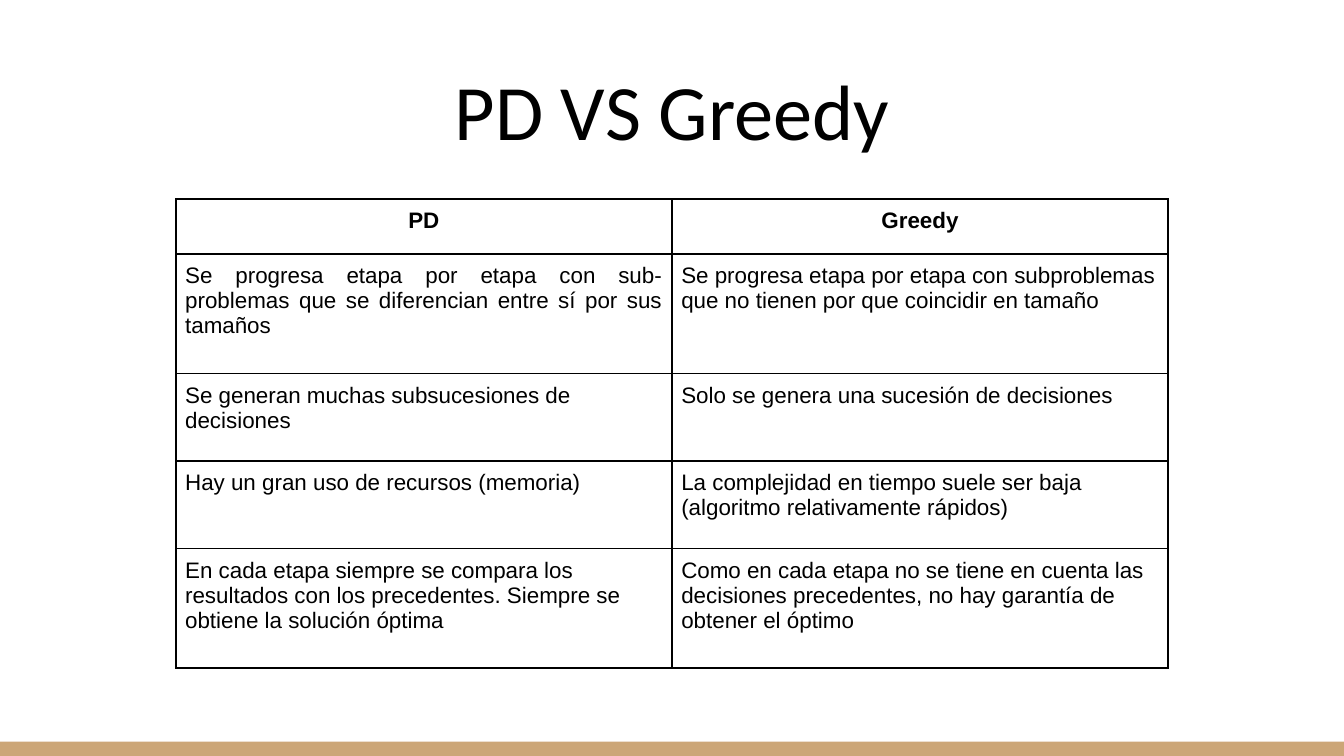
import pptx
import pptx.dml.color
import pptx.enum.shapes
import pptx.enum.text
import pptx.oxml
import pptx.oxml.ns
import pptx.util

Pt = pptx.util.Pt
ALIGN = pptx.enum.text.PP_ALIGN
ANCHOR = pptx.enum.text.MSO_ANCHOR
WIDTH, HEIGHT = 720, 405
BLACK, WHITE, TAN = "000000", "FFFFFF", "CCA677"

COMPARISON = [
    ("PD", "Greedy"),
    ("Se progresa etapa por etapa con sub-problemas que se diferencian entre sí por sus tamaños",
     "Se progresa etapa por etapa con subproblemas que no tienen por que coincidir en tamaño"),
    ("Se generan muchas subsucesiones de decisiones",
     "Solo se genera una sucesión de decisiones"),
    ("Hay un gran uso de recursos (memoria)",
     "La complejidad en tiempo suele ser baja (algoritmo relativamente rápidos)"),
    ("En cada etapa siempre se compara los resultados con los precedentes. "
     "Siempre se obtiene la solución óptima",
     "Como en cada etapa no se tiene en cuenta las decisiones precedentes, "
     "no hay garantía de obtener el óptimo"),
]
ROW_HEIGHTS = [29.5, 64.1, 46.8, 46.8, 64.1]
COLUMN_WIDTHS = [265.8, 265.8]


def color(hex_string):
    return pptx.dml.color.RGBColor.from_string(hex_string)


class SlideBuilder:
    title_font, title_size = "Calibri", 42
    table_font, table_size = "Arial", 12
    title_inset, cell_inset = 7.2, 5

    def __init__(self, slide):
        self.slide = slide

    def add_run(self, paragraph, text, font, size, bold=False):
        run = paragraph.add_run()
        run.text = text
        run.font.name = font
        run.font.size = Pt(size)
        run.font.bold = bold
        run.font.color.rgb = color(BLACK)

    def set_margins(self, target, inset):
        target.margin_left = target.margin_right = Pt(inset)
        target.margin_top = target.margin_bottom = Pt(inset)

    def add_bar(self, left, top, width, height, fill):
        bar = self.slide.shapes.add_shape(
            pptx.enum.shapes.MSO_SHAPE.RECTANGLE, Pt(left), Pt(top), Pt(width), Pt(height))
        bar.shadow.inherit = False
        bar.fill.solid()
        bar.fill.fore_color.rgb = color(fill)
        bar.line.fill.background()

    def set_title(self, text, left, top, width, height):
        title = self.slide.shapes.title
        title.left, title.top, title.width, title.height = map(Pt, (left, top, width, height))
        frame = title.text_frame
        frame.word_wrap = True
        frame.auto_size = pptx.enum.text.MSO_AUTO_SIZE.NONE
        frame.vertical_anchor = ANCHOR.BOTTOM
        self.set_margins(frame, self.title_inset)
        paragraph = frame.paragraphs[0]
        paragraph.alignment = ALIGN.CENTER
        self.add_run(paragraph, text, self.title_font, self.title_size)

    def add_borders(self, cell, width=1):
        properties = cell._tc.get_or_add_tcPr()
        for index, side in enumerate(("lnL", "lnR", "lnT", "lnB")):
            properties.insert(index, pptx.oxml.parse_xml(
                f'<a:{side} {pptx.oxml.ns.nsdecls("a")} w="{Pt(width)}">'
                f'<a:solidFill><a:srgbClr val="{BLACK}"/></a:solidFill></a:{side}>'))

    def fill_cell(self, cell, text, alignment, bold):
        cell.fill.solid()
        cell.fill.fore_color.rgb = color(WHITE)
        self.set_margins(cell, self.cell_inset)
        cell.vertical_anchor = ANCHOR.TOP
        paragraph = cell.text_frame.paragraphs[0]
        paragraph.alignment = alignment
        self.add_run(paragraph, text, self.table_font, self.table_size, bold)
        self.add_borders(cell)

    def add_table(self, rows, left, top, widths, heights, justified):
        """Add a table with a centred bold header; justified holds (row, column) pairs."""
        table = self.slide.shapes.add_table(
            len(rows), len(widths), Pt(left), Pt(top), Pt(sum(widths)), Pt(sum(heights))).table
        for column, width in zip(table.columns, widths):
            column.width = Pt(width)
        for row_index, (texts, height) in enumerate(zip(rows, heights)):
            table.rows[row_index].height = Pt(height)
            header = row_index == 0
            for column_index, text in enumerate(texts):
                position = (row_index, column_index)
                alignment = (ALIGN.CENTER if header else
                             ALIGN.JUSTIFY if position in justified else ALIGN.LEFT)
                self.fill_cell(table.cell(*position), text, alignment, header)


def main():
    presentation = pptx.Presentation()
    presentation.slide_width, presentation.slide_height = Pt(WIDTH), Pt(HEIGHT)
    title_only = presentation.slide_layouts[5]
    builder = SlideBuilder(presentation.slides.add_slide(title_only))
    builder.add_bar(0, 397.4, WIDTH, 7.6, TAN)
    builder.set_title("PD VS Greedy", 24.5, 25.2, 671, 65.5)
    builder.add_table(COMPARISON, 94.2, 106.6, COLUMN_WIDTHS, ROW_HEIGHTS, justified={(1, 0)})
    presentation.save("out.pptx")


if __name__ == "__main__":
    main()
